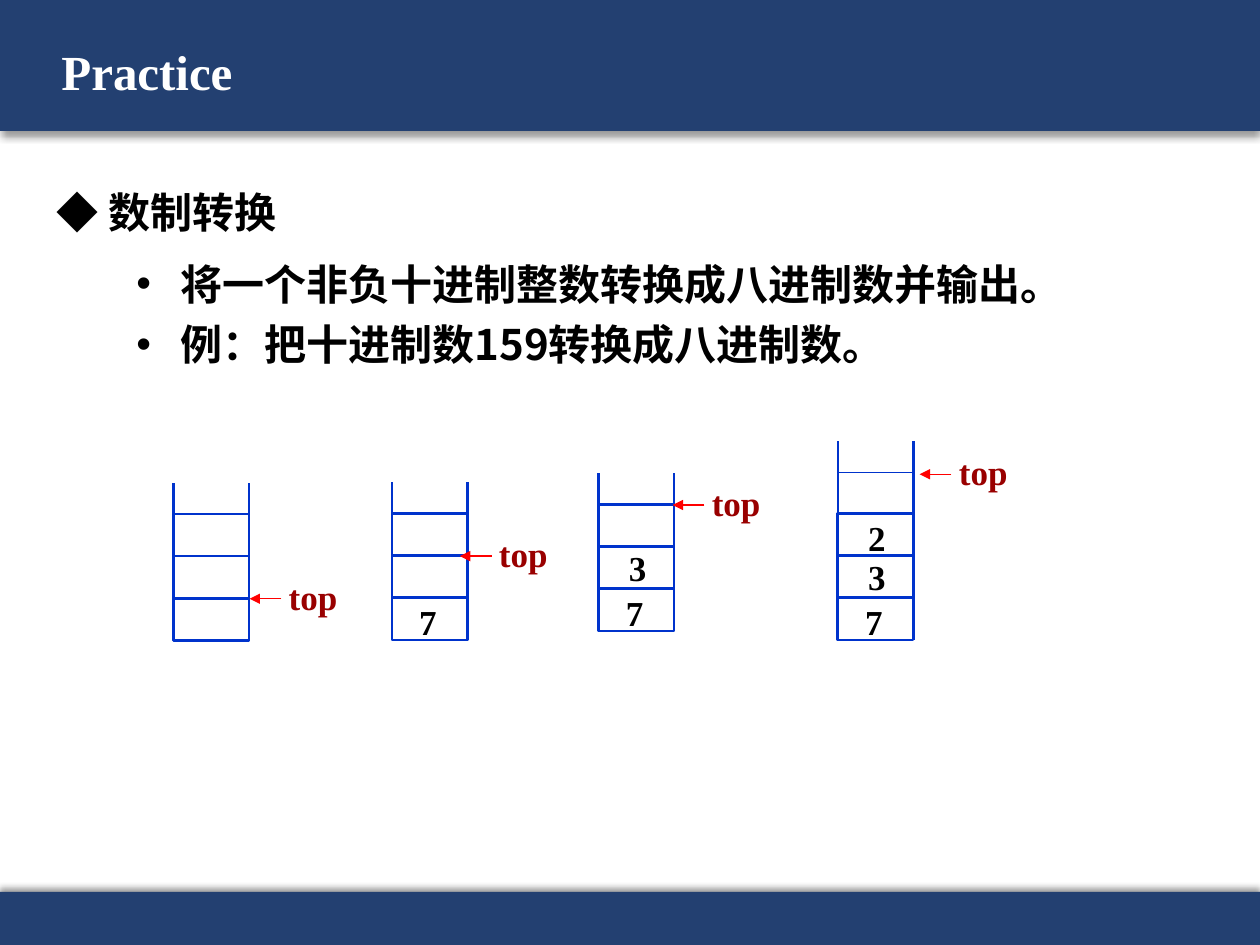
from lxml import etree
from pptx import Presentation
from pptx import util as u
from pptx.dml.color import RGBColor
from pptx.enum import shapes as sh, text as tx
from pptx.oxml import ns

Cm, Pt = u.Cm, u.Pt
HUES = {"navy": "234071", "white": "FFFFFF", "black": "000000",
        "blue": "0033CC", "red": "FF0000", "wine": "990000"}
LATIN, HAN = "Times New Roman", "Noto Sans CJK SC"
CELL_W, CELL_H = 1.52, 0.85


def hue(name):
    """Return a named colour."""
    return RGBColor.from_string(HUES[name])


def sub(node, tag, **attrs):
    """Append an XML child and return it."""
    child = etree.SubElement(node, ns.qn(tag))
    for key, val in attrs.items():
        child.set(key, str(val))
    return child


def rect(host, x, y, w, h, fill, edge=None):
    """Draw a filled rectangle, outlined if an edge colour is given."""
    box = host.shapes.add_shape(sh.MSO_SHAPE.RECTANGLE, Cm(x), Cm(y), Cm(w), Cm(h))
    box.shadow.inherit = False
    box.fill.solid()
    box.fill.fore_color.rgb = hue(fill)
    if edge:
        box.line.color.rgb = hue(edge)
        box.line.width = Pt(1.5)
    else:
        box.line.fill.background()
    return box


def line(host, x1, y1, x2, y2, tint, width=1.5, arrow=False):
    """Draw a straight line, with an arrowhead at its end on request."""
    link = host.shapes.add_connector(
        sh.MSO_CONNECTOR.STRAIGHT, Cm(x1), Cm(y1), Cm(x2), Cm(y2))
    link.line.color.rgb = hue(tint)
    link.line.width = Pt(width)
    if arrow:
        sub(link.line._get_or_add_ln(), "a:tailEnd", type="triangle")
    sub(link._element.spPr, "a:effectLst")


def label(host, x, y, w, h, words, size, font, tint, wrap=True, mid=True):
    """Place bold text, one paragraph per item, and return the paragraphs."""
    frame = host.shapes.add_textbox(Cm(x), Cm(y), Cm(w), Cm(h)).text_frame
    frame.word_wrap = wrap
    frame.vertical_anchor = tx.MSO_ANCHOR.MIDDLE if mid else tx.MSO_ANCHOR.TOP
    for i, word in enumerate(words):
        para = frame.add_paragraph() if i else frame.paragraphs[0]
        run = para.add_run()
        run.text = word
        run.font.size, run.font.bold, run.font.name = Pt(size), True, font
        run.font.color.rgb = hue(tint)
        sub(run.font._element, "a:ea", typeface=font)
    return frame.paragraphs


def band(slide, y, h, turn):
    """Draw a full-width bar whose shadow falls in the given direction."""
    bar = rect(slide, 0, y, 25.4, h, "navy")
    glow = sub(bar._element.spPr.find(ns.qn("a:effectLst")), "a:outerShdw",
               blurRad=Pt(4), dist=Pt(3), dir=turn * 60000, rotWithShape=0)
    sub(sub(glow, "a:srgbClr", val=HUES["black"]), "a:alpha", val=40000)


def header(slide, x, y, w, h):
    """Write the slide title."""
    label(slide, x, y, w, h, ["Practice"], 28, LATIN, "white")[0].line_spacing = 0.9


def body(slide, x, y, w):
    """Write the topic and its bullets."""
    topic = label(slide, x - 0.1, y, w, 1.8, ["◆ 数制转换"], 24, HAN, "black", mid=False)
    topic[0].line_spacing = 1.5
    notes = ["将一个非负十进制整数转换成八进制数并输出。",
             "例：把十进制数159转换成八进制数。"]
    paras = label(slide, x, y + 1.76, 21.59, 4.88, notes, 24, HAN, "black", mid=False)
    for para, gap in zip(paras, (5, 0)):
        para.line_spacing, para.space_before = 1.2, Pt(gap)
        props = para._p.get_or_add_pPr()
        props.set("marL", str(Cm(2.4)))
        props.set("indent", str(Cm(-0.89)))
        sub(props, "a:buFont", typeface="Arial")
        sub(props, "a:buChar", char="•")


def stack(slide, x, base, tall, digits, tip, rise):
    """Draw a stack standing on base, its digits and its top pointer."""
    host = slide.shapes.add_group_shape()
    for side in (x, x + CELL_W):
        line(host, side, base, side, base - tall, "blue")
    for row in range(1, 4):
        rect(host, x, base - row * CELL_H, CELL_W, CELL_H, "white", "blue")
    end, mark = x + tip, base - rise
    line(host, end + 0.64, mark, end, mark, "red", 0.75, True)
    label(host, end + 0.54, mark - 0.61, 1.5, 1.12, ["top"], 20, LATIN, "wine", False)
    spots = ((0.3, 0.94), (0.36, 1.83), (0.36, 2.62))
    for digit, (dx, up) in zip(digits, spots):
        label(host, x + dx, base - up, 0.86, 1.12, [digit], 20, LATIN, "black", False)
    if len(digits) == 3:
        line(host, x, base - 3.38, x + CELL_W, base - 3.38, "blue", 0.75)


def main():
    """Build and save the slide."""
    deck = Presentation()
    deck.slide_width, deck.slide_height = Cm(25.4), Cm(19.05)
    slide = deck.slides.add_slide(deck.slide_layouts[6])
    band(slide, 0, 2.64, 90)
    band(slide, 17.98, 1.07, 270)
    header(slide, 0.99, 0.41, 21.89, 2.18)
    body(slide, 0.99, 3.12, 23.72)
    for args in ((3.5, 12.91, 3.18, "", 1.53, 0.84),
                 (7.9, 12.9, 3.18, "7", 1.37, 1.69),
                 (12.07, 12.72, 3.18, "73", 1.49, 2.54),
                 (16.89, 12.9, 4.02, "732", 1.65, 3.34)):
        stack(slide, *args)
    deck.save("out.pptx")


if __name__ == "__main__":
    main()
